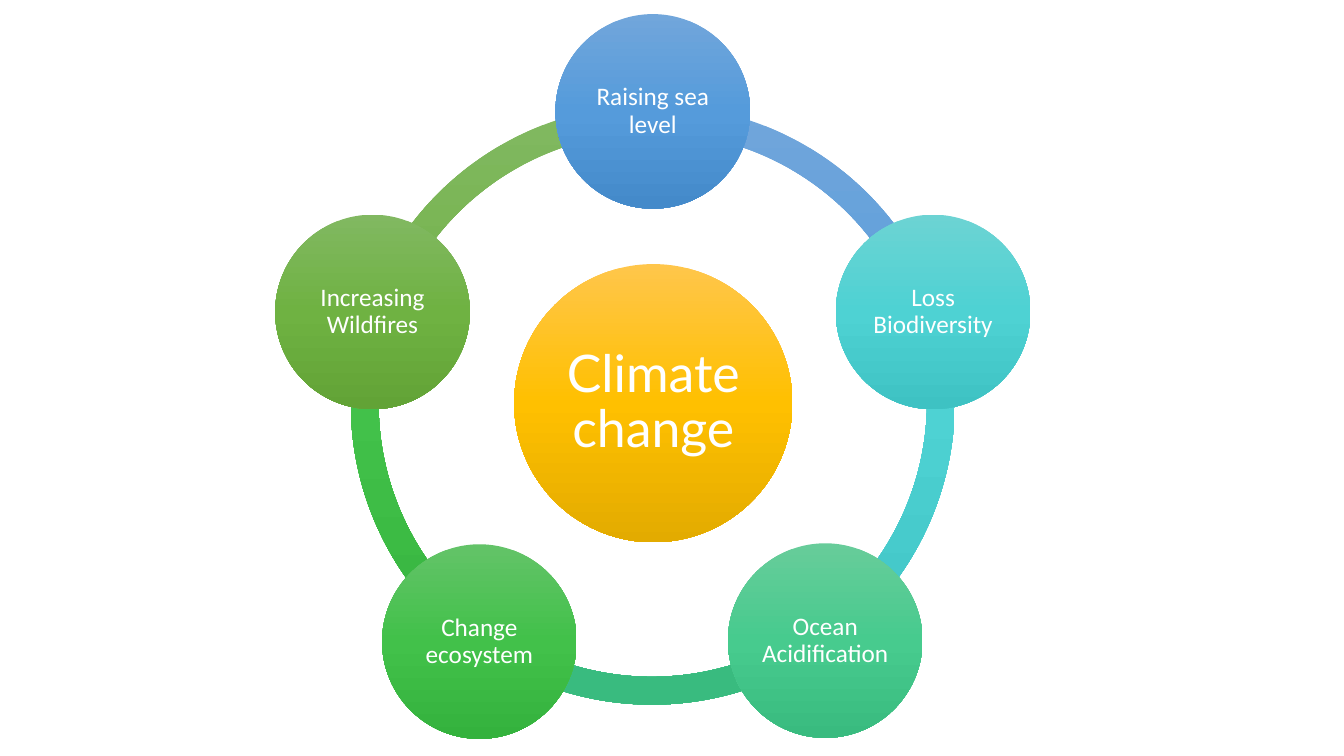
from copy import deepcopy
from dataclasses import dataclass

from pptx import Presentation
from pptx.dml.color import RGBColor
from pptx.enum.shapes import MSO_SHAPE as Shape
from pptx.enum.text import MSO_ANCHOR as Anchor, PP_ALIGN as Align
from pptx.oxml.ns import qn
from pptx.util import Inches, Pt


@dataclass(frozen=True)
class Theme:
    blue: tuple = ("71A6DB", "559BDB", "448ACA")
    teal: tuple = ("6CD3D3", "4ED2D3", "3EC2C3")
    mint: tuple = ("67CC9A", "47CB8E", "39BB7F")
    green: tuple = ("63C368", "42C14A", "34B23D")
    olive: tuple = ("81B861", "6FB242", "62A336")
    gold: tuple = ("FFC64B", "FFC000", "E3AB00")
    text: str = "FFFFFF"
    topic_font: str = "Lato"
    effect_font: str = "Calibri"
    topic_size: int = 37
    effect_size: int = 18


theme = Theme()
prs = Presentation()
prs.slide_width = Inches(13.33)
prs.slide_height = Inches(7.5)
slide = prs.slides.add_slide(prs.slide_layouts[6])


def add_round(kind, left, top, size, shades):
    part = slide.shapes.add_shape(
        kind, Inches(left), Inches(top), Inches(size), Inches(size))
    part.shadow.inherit = False
    part.line.fill.background()
    part.fill.gradient()
    part.fill.gradient_angle = 270
    stop_list = part._element.spPr.find(".//" + qn("a:gsLst"))
    stop_list.append(deepcopy(stop_list[0]))
    for stop, shade, position in zip(part.fill.gradient_stops, shades, (0, 0.5, 1)):
        stop.color.rgb = RGBColor.from_string(shade)
        stop.position = position
    return part


def add_circle(label, left, top, size, shades, font_name, font_size, inset):
    frame = add_round(Shape.OVAL, left, top, size, shades).text_frame
    frame.word_wrap = True
    frame.vertical_anchor = Anchor.MIDDLE
    frame.margin_left = frame.margin_right = Inches(inset)
    frame.margin_top = frame.margin_bottom = Inches(inset)
    frame.text = label
    paragraph = frame.paragraphs[0]
    paragraph.alignment = Align.CENTER
    paragraph.line_spacing = 0.9
    font = paragraph.runs[0].font
    font.name = font_name
    font.size = Pt(font_size)
    font.color.rgb = RGBColor.from_string(theme.text)


effects = [
    ("Raising sea level", (5.51, 0.14), (3.49, 1.04), theme.blue),
    ("Loss Biodiversity", (8.29, 2.13), (3.48, 0.99), theme.teal),
    ("Ocean Acidification", (7.22, 5.39), (3.47, 1), theme.mint),
    ("Change ecosystem", (3.79, 5.4), (3.48, 1.01), theme.green),
    ("Increasing Wildfires", (2.73, 2.13), (3.47, 1.04), theme.olive),
]

step = 360 / len(effects)
angle_unit = 0.6
for index, (_, _, arc_corner, shades) in reversed(list(enumerate(effects))):
    arc = add_round(Shape.BLOCK_ARC, *arc_corner, 5.99, shades)
    start = (270 + index * step) % 360
    arc.adjustments[0] = start * angle_unit
    arc.adjustments[1] = (start + step) % 360 * angle_unit
    arc.adjustments[2] = 0.046

add_circle("Climate change", 5.1, 2.62, 2.76, theme.gold,
           theme.topic_font, theme.topic_size, 0.05)
for label, corner, _, shades in effects:
    add_circle(label, *corner, 1.93, shades,
               theme.effect_font, theme.effect_size, 0.03)

prs.save("out.pptx")
